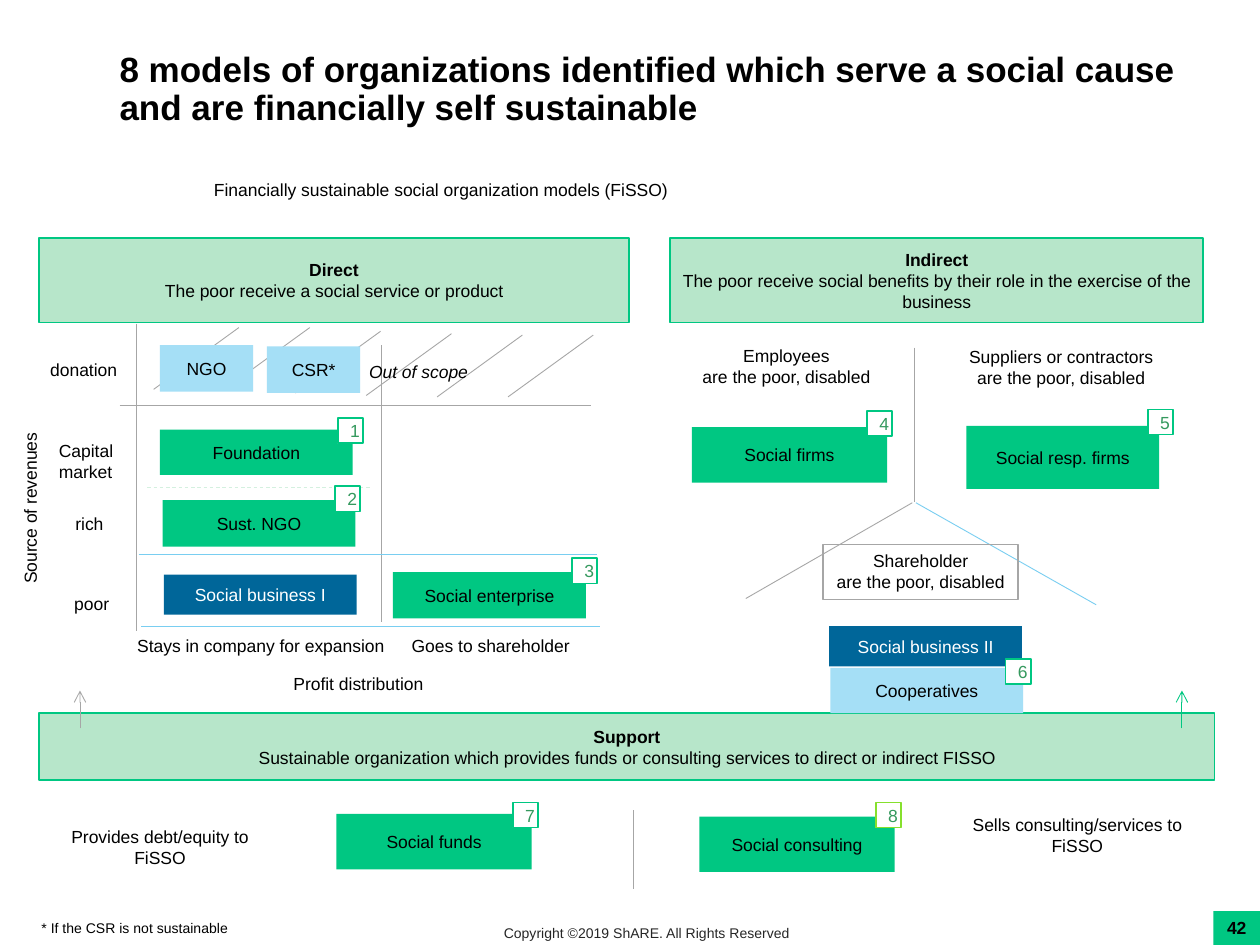
from lxml import etree
from pptx import Presentation
from pptx.dml.color import RGBColor
from pptx.enum import dml, shapes, text
from pptx.oxml.ns import qn
from pptx.util import Pt

rgb = RGBColor.from_string
GREEN, PALE, SKY, NAVY, GREY, BLUE = "00C782", "B7E6CA", "A5DFF6", "006699", "A6A6A6", "79CEF1"

prs = Presentation()
prs.slide_width, prs.slide_height = Pt(720), Pt(540)
s = prs.slides.add_slide(prs.slide_layouts[6])


def add_text(content, x, y, w, h, fill=None, line=None, weight=1, size=10, color="000000",
             bold=False, head=False, italic=False, align="CENTER", anchor="TOP",
             wrap=True, grow=False, spacing=None, rotation=0):
    at = Pt(x), Pt(y), Pt(w), Pt(h)
    if fill or line:
        sp = s.shapes.add_shape(shapes.MSO_SHAPE.RECTANGLE, *at)
        sp.shadow.inherit = False
        if fill:
            sp.fill.solid()
            sp.fill.fore_color.rgb = rgb(fill)
        else:
            sp.fill.background()
        if line:
            sp.line.color.rgb = rgb(line)
            sp.line.width = Pt(weight)
        else:
            sp.line.fill.background()
    else:
        sp = s.shapes.add_textbox(*at)
    sp.rotation = rotation
    tf = sp.text_frame
    tf.word_wrap = wrap
    tf.auto_size = text.MSO_AUTO_SIZE.SHAPE_TO_FIT_TEXT if grow else text.MSO_AUTO_SIZE.NONE
    tf.vertical_anchor = getattr(text.MSO_ANCHOR, anchor)
    for i, part in enumerate(content.split("\n")):
        p = tf.paragraphs[0] if i == 0 else tf.add_paragraph()
        p.alignment = getattr(text.PP_ALIGN, align)
        if spacing:
            p.line_spacing = spacing
        r = p.add_run()
        r.text = part
        r.font.name = "Arial"
        r.font.size = Pt(size)
        r.font.bold = bold or (head and i == 0)
        r.font.italic = italic
        r.font.color.rgb = rgb(color)


def add_line(x1, y1, x2, y2, color=GREY, dash=False, arrow=False):
    c = s.shapes.add_connector(shapes.MSO_CONNECTOR.STRAIGHT, Pt(x1), Pt(y1), Pt(x2), Pt(y2))
    c.line.color.rgb = rgb(color)
    c.line.width = Pt(0.5)
    if dash:
        c.line.dash_style = dml.MSO_LINE.DASH
    if arrow:
        etree.SubElement(c.line._get_or_add_ln(), qn("a:tailEnd"), type="arrow")
    etree.SubElement(c._element.spPr, qn("a:effectLst"))


add_text("42", 693.4, 520.6, 26.6, 19.4, fill=GREEN, bold=True, anchor="MIDDLE", wrap=False)
add_text("Copyright ©2019 ShARE. All Rights Reserved", 280.8, 524.9, 182.9, 17,
         size=8, color="262626", align="LEFT", wrap=False, grow=True)
add_text("8 models of organizations identified which serve a social cause "
         "and are financially self sustainable", 61.2, 12.2, 635, 78.5,
         size=20, bold=True, align="LEFT", anchor="MIDDLE", spacing=0.9)

for i, y in enumerate([222.5, 222.5, 224.6, 226, 226.8, 226.8]):
    x = 87.8 + 40.5 * i
    add_line(x, y, x + 48.7, y - 35.3)

for x1, y1, x2, y2, color in [
    (522.7, 198.7, 522.7, 286.6, GREY),
    (426.2, 342, 521.3, 287.3, GREY),
    (626.4, 345.6, 523.4, 287.3, BLUE),
    (77.8, 185, 77.8, 360.7, GREY),
    (218.2, 197.3, 218.2, 355.7, GREY),
    (79.2, 316.8, 341.3, 316.8, BLUE),
    (80.6, 357.8, 342.7, 357.8, BLUE),
    (68.4, 231.8, 337.7, 231.8, GREY),
    (362.2, 463, 362.2, 508.3, GREY),
]:
    add_line(x1, y1, x2, y2, color)
add_line(84.2, 278.6, 211.7, 278.6, "D4F0DF", dash=True)

for content, x, y, w, h in [
    ("Direct\nThe poor receive a social service or product", 22.3, 136.1, 337, 48.2),
    ("Indirect\nThe poor receive social benefits by their role in the exercise of the business",
     383, 136.1, 304.6, 48.2),
    ("Support\nSustainable organization which provides funds or consulting services "
     "to direct or indirect FISSO", 22.3, 407.5, 671.8, 38.2),
]:
    add_text(content, x, y, w, h, fill=PALE, line=GREEN, head=True, anchor="MIDDLE")

for content, x, y, w, h, fill in [
    ("Cooperatives", 474.5, 381.6, 110.2, 25.9, SKY),
    ("NGO", 91.4, 197.3, 53.3, 26.6, SKY),
    ("CSR*", 152.6, 198, 53.3, 26.6, SKY),
    ("Foundation", 91.4, 245.5, 110.2, 25.9, GREEN),
    ("Sust. NGO", 92.9, 285.8, 110.2, 26.6, GREEN),
    ("Social enterprise", 224.6, 326.9, 110.2, 26.6, GREEN),
    ("Social firms", 395.3, 244.1, 111.6, 31.7, GREEN),
    ("Social resp. firms", 552.2, 243.4, 110.2, 36, GREEN),
    ("Social funds", 192.2, 465.1, 111.6, 31.7, GREEN),
    ("Social consulting", 399.6, 466.6, 111.6, 31.7, GREEN),
    ("Social business I", 93.6, 328.3, 110.2, 23, NAVY),
    ("Social business II", 473.8, 357.8, 110.2, 23, NAVY),
]:
    add_text(content, x, y, w, h, fill=fill, anchor="MIDDLE",
             color="FFFFFF" if fill == NAVY else "000000")

for content, x, y, w in [
    ("Financially sustainable social organization models (FiSSO)", 115.2, 98.6, 275.8),
    ("donation", 21.6, 201.6, 52.6),
    ("rich", 36, 289.4, 31),
    ("poor", 35.3, 335.5, 34.6),
    ("Stays in company for expansion", 71.3, 359.3, 157),
    ("Goes to shareholder", 228.2, 359.3, 105.1),
    ("Profit distribution", 160.6, 380.9, 89.3),
]:
    add_text(content, x, y, w, 19.4, align="LEFT", wrap=False, grow=True)
add_text("Capital\nmarket".replace("\n", " "), 26.6, 247.7, 48.2, 31.7, align="LEFT", grow=True)
add_text("Out of scope", 203.8, 203, 71.3, 19.4, italic=True, align="LEFT", wrap=False, grow=True)
add_text("Source of revenues", -54.7, 280.8, 144, 19.4, grow=True, rotation=270)
add_text("* If the CSR is not sustainable", 16.6, 522, 122.4, 17,
         size=8, align="LEFT", wrap=False, grow=True)

for content, x, y, w in [
    ("Employees\nare the poor, disabled", 376.6, 193.7, 145.4),
    ("Suppliers or contractors\nare the poor, disabled", 545.8, 194.4, 121),
    ("Provides debt/equity to FiSSO", 18.7, 468.7, 145.4),
    ("Sells consulting/services to FiSSO", 542.9, 461.5, 145.4),
]:
    add_text(content, x, y, w, 31.7, grow=True)
add_text("Shareholder\nare the poor, disabled", 470.2, 311, 111.6, 31.7,
         line=GREY, weight=0.75, wrap=False, grow=True)

badges = [(193, 239), (191.5, 277.9), (326.9, 319), (495.4, 234.7),
          (655.9, 234), (574.6, 376.6), (293, 458.6), (500.4, 458.6)]
for n, (x, y) in enumerate(badges, 1):
    add_text(str(n), x, y, 14.4, 14.4, fill="FFFFFF", color="35995E", anchor="MIDDLE",
             line="86E02D" if n == len(badges) else GREEN)

for x, color in [(45.7, GREY), (675.4, GREEN)]:
    add_line(x, 416.2, x, 394.6, color, arrow=True)

prs.save("out.pptx")
